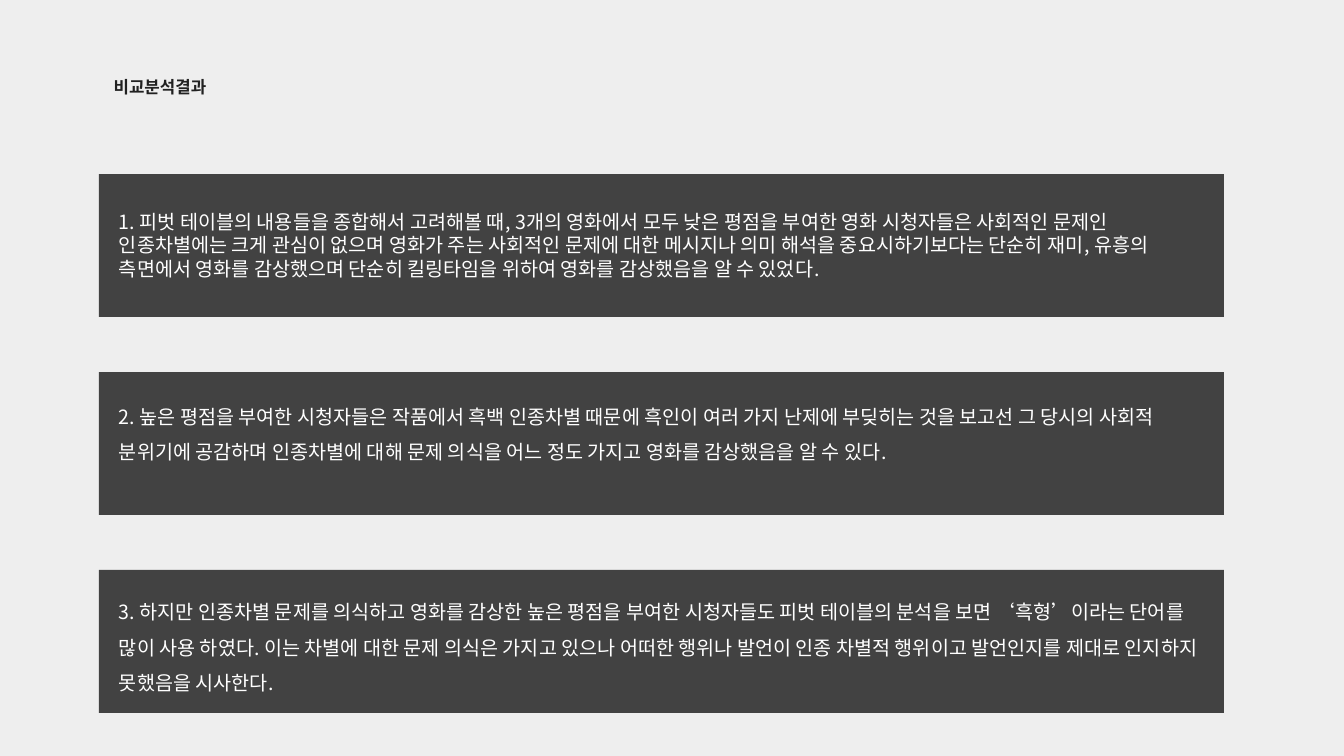
"""Build the slide with the three findings of the comparative analysis."""
from lxml.etree import SubElement
from pptx import Presentation
from pptx.dml.color import RGBColor
from pptx.enum.shapes import MSO_SHAPE
from pptx.enum.text import MSO_ANCHOR, MSO_AUTO_SIZE, PP_ALIGN
from pptx.oxml.ns import qn
from pptx.util import Emu, Pt

FONT = "Noto Sans CJK KR"
BACKGROUND = RGBColor(0xEE, 0xEE, 0xEE)
PANEL = RGBColor(0x42, 0x42, 0x42)
INK = RGBColor(0x21, 0x21, 0x21)
WHITE = RGBColor(0xFF, 0xFF, 0xFF)

LEFT = 99
PANEL_TOP, PANEL_STEP = 174, 198
PANEL_WIDTH, PANEL_HEIGHT = 1125, 143

FINDINGS = [
    ("1. 피벗 테이블의 내용들을 종합해서 고려해볼 때, 3개의 영화에서 모두 낮은 평점을 부여한 영화 시청자들은 "
     "사회적인 문제인 인종차별에는 크게 관심이 없으며 영화가 주는 사회적인 문제에 대한 메시지나 의미 해석을 "
     "중요시하기보다는 단순히 재미, 유흥의 측면에서 영화를 감상했으며 단순히 킬링타임을 위하여 영화를 "
     "감상했음을 알 수 있었다.", 1.0, 6),
    ("2. 높은 평점을 부여한 시청자들은 작품에서 흑백 인종차별 때문에 흑인이 여러 가지 난제에 부딪히는 것을 "
     "보고선 그 당시의 사회적 분위기에 공감하며 인종차별에 대해 문제 의식을 어느 정도 가지고 영화를 "
     "감상했음을 알 수 있다.", 1.5, 35),
    ("3. 하지만 인종차별 문제를 의식하고 영화를 감상한 높은 평점을 부여한 시청자들도 피벗 테이블의 분석을 보면 "
     "‘흑형’이라는 단어를 많이 사용 하였다. 이는 차별에 대한 문제 의식은 가지고 있으나 어떠한 행위나 발언이 "
     "인종 차별적 행위이고 발언인지를 제대로 인지하지 못했음을 시사한다.", 1.5, 5),
]


def px(n):
    return Emu(round(n * 914400 / 100.8))


def write(tf, text, size, color, bold, align, spacing, frame):
    for name, value in frame.items():
        setattr(tf, name, value)
    p = tf.paragraphs[0]
    p.alignment = align
    p.line_spacing = spacing
    r = p.add_run()
    r.text = text
    r.font.color.rgb = color
    for name, value in {"name": FONT, "size": Pt(size), "bold": bold}.items():
        setattr(r.font, name, value)
    SubElement(r.font._element, qn("a:ea")).set("typeface", FONT)


prs = Presentation()
prs.slide_width, prs.slide_height = px(1344), px(756)
s = prs.slides.add_slide(prs.slide_layouts[5])
s.background.fill.solid()
s.background.fill.fore_color.rgb = BACKGROUND

title = s.shapes.title
for name, value in {"left": LEFT, "top": 62, "width": 122, "height": 36}.items():
    setattr(title, name, px(value))
write(title.text_frame, "비교분석결과", 12, INK, True, PP_ALIGN.CENTER, 1.5,
      {"word_wrap": False, "auto_size": MSO_AUTO_SIZE.SHAPE_TO_FIT_TEXT,
       "vertical_anchor": MSO_ANCHOR.TOP})

for i, (text, spacing, bottom) in enumerate(FINDINGS):
    sp = s.shapes.add_shape(MSO_SHAPE.RECTANGLE, px(LEFT), px(PANEL_TOP + i * PANEL_STEP),
                            px(PANEL_WIDTH), px(PANEL_HEIGHT))
    sp.shadow.inherit = False
    sp.fill.solid()
    sp.fill.fore_color.rgb = PANEL
    sp.line.fill.background()
    write(sp.text_frame, text, 14, WHITE, False, PP_ALIGN.LEFT, spacing,
          {"word_wrap": True, "vertical_anchor": MSO_ANCHOR.MIDDLE,
           "margin_left": px(20), "margin_top": px(5),
           "margin_right": px(10), "margin_bottom": px(bottom)})

prs.save("out.pptx")
